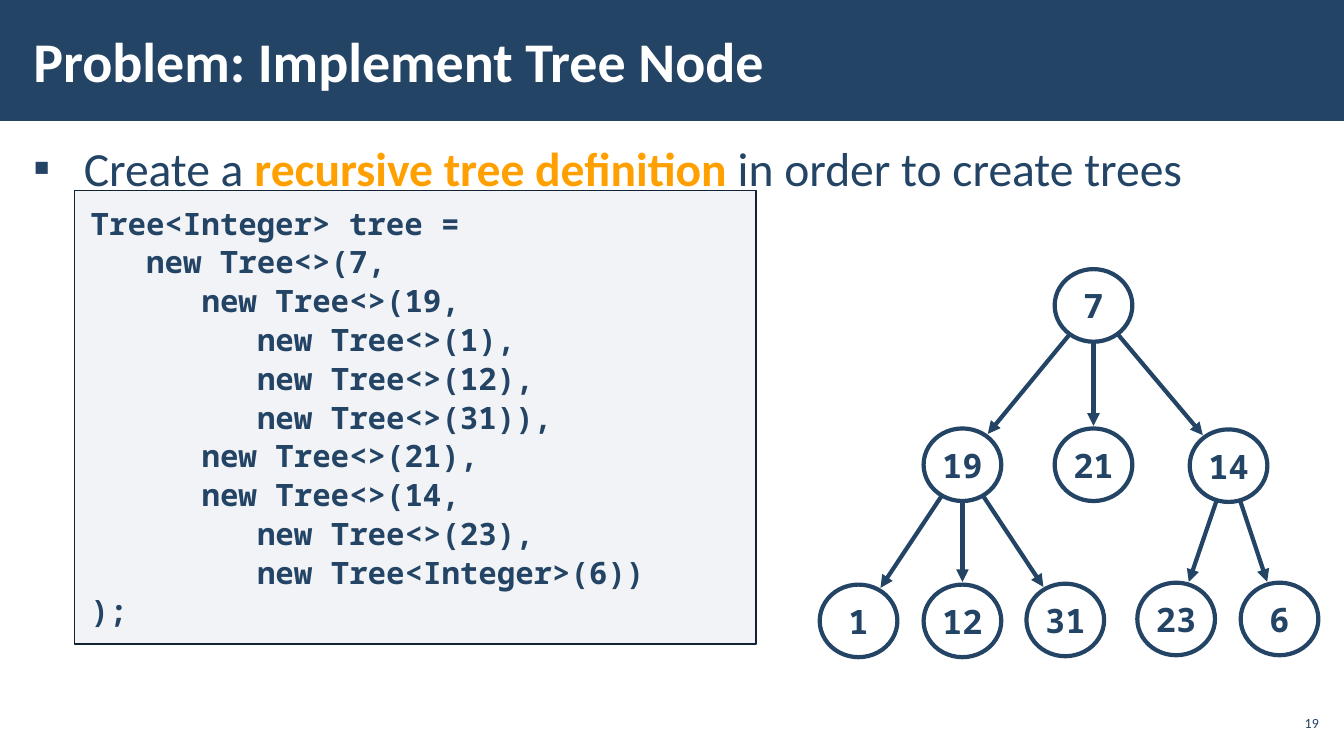
from math import hypot

from lxml import etree
from pptx import Presentation
from pptx.dml.color import RGBColor
from pptx.enum.shapes import MSO_CONNECTOR, MSO_SHAPE
from pptx.enum.text import MSO_ANCHOR, MSO_AUTO_SIZE, PP_ALIGN
from pptx.oxml.ns import qn
from pptx.util import Inches, Pt

NAVY = RGBColor(0x23, 0x44, 0x65)
INK = RGBColor(0x11, 0x22, 0x33)
STEEL = RGBColor(0xAD, 0xB4, 0xC3)
ORANGE = RGBColor(0xFF, 0xA0, 0x00)
WHITE = RGBColor(0xFF, 0xFF, 0xFF)
RECTANGLE, OVAL = MSO_SHAPE.RECTANGLE, MSO_SHAPE.OVAL
STRAIGHT = MSO_CONNECTOR.STRAIGHT
LEFT, CENTER, RIGHT = PP_ALIGN.LEFT, PP_ALIGN.CENTER, PP_ALIGN.RIGHT
TOP, MIDDLE = MSO_ANCHOR.TOP, MSO_ANCHOR.MIDDLE
NO_FIT = MSO_AUTO_SIZE.NONE

CODE = [
    (0, "Tree<Integer> tree ="),
    (1, "new Tree<>(7,"),
    (2, "new Tree<>(19,"),
    (3, "new Tree<>(1),"),
    (3, "new Tree<>(12),"),
    (3, "new Tree<>(31)),"),
    (2, "new Tree<>(21),"),
    (2, "new Tree<>(14,"),
    (3, "new Tree<>(23),"),
    (3, "new Tree<Integer>(6))"),
    (0, ");"),
]
NODE_CENTERS = {
    "7": (81.36, 40.4),
    "19": (71.61, 61.47),
    "21": (81.36, 61.47),
    "14": (91.41, 61.6),
    "1": (63.88, 82.13),
    "12": (71.61, 82.13),
    "31": (79.26, 82),
    "23": (87.51, 81.87),
    "6": (95.2, 81.87),
}
CHILDREN = {"7": ["19", "21", "14"], "19": ["1", "12", "31"], "14": ["23", "6"]}


class TreeSlide:
    text_font = "Calibri"
    code_font = "Noto Sans Mono"
    node_width, node_height = 5.78, 9.6
    arrow_reach = 1.07

    def __init__(self, presentation):
        self.width = presentation.slide_width
        self.height = presentation.slide_height
        self.slide = presentation.slides.add_slide(presentation.slide_layouts[1])
        self.shapes = self.slide.shapes

    def across(self, percent):
        return round(self.width * percent / 100)

    def down(self, percent):
        return round(self.height * percent / 100)

    def area(self, left, top, width, height):
        return self.across(left), self.down(top), self.across(width), self.down(height)

    def format_frame(self, shape, anchor, side, edge, wrap=True):
        frame = shape.text_frame
        frame.auto_size = NO_FIT
        frame.word_wrap = wrap
        frame.vertical_anchor = anchor
        frame.margin_left = frame.margin_right = Inches(side)
        frame.margin_top = frame.margin_bottom = Inches(edge)
        return frame

    def format_paragraph(self, paragraph, name, size, color, bold=False, align=LEFT):
        paragraph.alignment = align
        paragraph.font.name = name
        paragraph.font.size = Pt(size)
        paragraph.font.bold = bold
        paragraph.font.color.rgb = color

    def placeholder(self, index, area, anchor):
        shape = self.slide.placeholders[index]
        shape.left, shape.top, shape.width, shape.height = self.area(*area)
        return self.format_frame(shape, anchor, 0.12, 0.04).paragraphs[0]

    def title(self, text, *area):
        paragraph = self.placeholder(0, area, MIDDLE)
        paragraph.text = text
        self.format_paragraph(paragraph, self.text_font, 40, WHITE, True)

    def bullet(self, pieces, *area):
        paragraph = self.placeholder(1, area, TOP)
        paragraph.line_spacing = 1.05
        paragraph.space_before = paragraph.space_after = Pt(6)
        properties = paragraph._p.get_or_add_pPr()
        properties.set("marL", str(Inches(0.5)))
        properties.set("indent", str(-Inches(0.5)))
        etree.SubElement(properties, qn("a:buFont"), typeface=self.text_font)
        etree.SubElement(properties, qn("a:buChar"), char="▪")
        self.format_paragraph(paragraph, self.text_font, 34, NAVY)
        for text, highlighted in pieces:
            run = paragraph.add_run()
            run.text = text
            if highlighted:
                run.font.bold = True
                run.font.color.rgb = ORANGE

    def panel(self, kind, area, fill, opacity=100, line=None, line_width=1):
        shape = self.shapes.add_shape(kind, *self.area(*area))
        shape.shadow.inherit = False
        shape.fill.solid()
        shape.fill.fore_color.rgb = fill
        if opacity < 100:
            color = shape.element.spPr.find(qn("a:solidFill"))[0]
            etree.SubElement(color, qn("a:alpha"), val=str(opacity * 1000))
        if line is None:
            shape.line.fill.background()
        else:
            shape.line.color.rgb = line
            shape.line.width = Pt(line_width)
        return shape

    def send_to_back(self, shape):
        shape.element.getparent().insert(2, shape.element)

    def code(self, lines, *area):
        shape = self.panel(RECTANGLE, area, STEEL, 15, INK)
        frame = self.format_frame(shape, TOP, 0.16, 0.12)
        for number, (depth, text) in enumerate(lines):
            paragraph = frame.add_paragraph() if number else frame.paragraphs[0]
            paragraph.text = text
            paragraph.line_spacing = 1.05
            paragraph._p.get_or_add_pPr().set("marL", str(Inches(0.55 * depth)))
            self.format_paragraph(paragraph, self.code_font, 22, NAVY, True)
        self.send_to_back(shape)

    def band(self, *area):
        self.send_to_back(self.panel(RECTANGLE, area, NAVY))

    def node(self, text, x, y):
        width, height = self.node_width, self.node_height
        area = (x - width / 2, y - height / 2, width, height)
        shape = self.panel(OVAL, area, WHITE, 50, NAVY, 3)
        paragraph = self.format_frame(shape, MIDDLE, 0.1, 0.05, False).paragraphs[0]
        paragraph.text = text
        self.format_paragraph(paragraph, self.code_font, 24, NAVY, True, CENTER)

    def arrow(self, parent, child):
        run, rise = child[0] - parent[0], child[1] - parent[1]
        edge = 0.5 / hypot(run / self.node_width, rise / self.node_height)
        ends = []
        for share in (edge, 1 - edge * self.arrow_reach):
            ends += [self.across(parent[0] + run * share), self.down(parent[1] + rise * share)]
        connector = self.shapes.add_connector(STRAIGHT, *ends)
        connector.line.color.rgb = NAVY
        connector.line.width = Pt(3)
        etree.SubElement(connector.line._get_or_add_ln(), qn("a:tailEnd"), type="triangle")
        etree.SubElement(connector.element.spPr, qn("a:effectLst"))

    def page_number(self, text, *area):
        shape = self.shapes.add_textbox(*self.area(*area))
        paragraph = self.format_frame(shape, MIDDLE, 0.04, 0.04).paragraphs[0]
        paragraph.text = text
        self.format_paragraph(paragraph, self.text_font, 10, NAVY, align=RIGHT)


def main():
    presentation = Presentation()
    presentation.slide_width = Inches(13.33)
    presentation.slide_height = Inches(7.5)
    page = TreeSlide(presentation)
    page.code(CODE, 5.55, 25.2, 50.71, 60)
    page.band(0, 0, 100, 16)
    page.title("Problem: Implement Tree Node", 1.58, 1.47, 78.02, 12.93)
    pieces = [
        ("Create a ", False),
        ("recursive tree definition", True),
        (" in order to create trees", False),
    ]
    page.bullet(pieces, 1.58, 17.47, 96.92, 75.87)
    page.page_number("19", 94.9, 93.33, 3.53, 4.53)
    for text, center in NODE_CENTERS.items():
        page.node(text, *center)
    for parent, children in CHILDREN.items():
        for child in children:
            page.arrow(NODE_CENTERS[parent], NODE_CENTERS[child])
    presentation.save("out.pptx")


if __name__ == "__main__":
    main()
